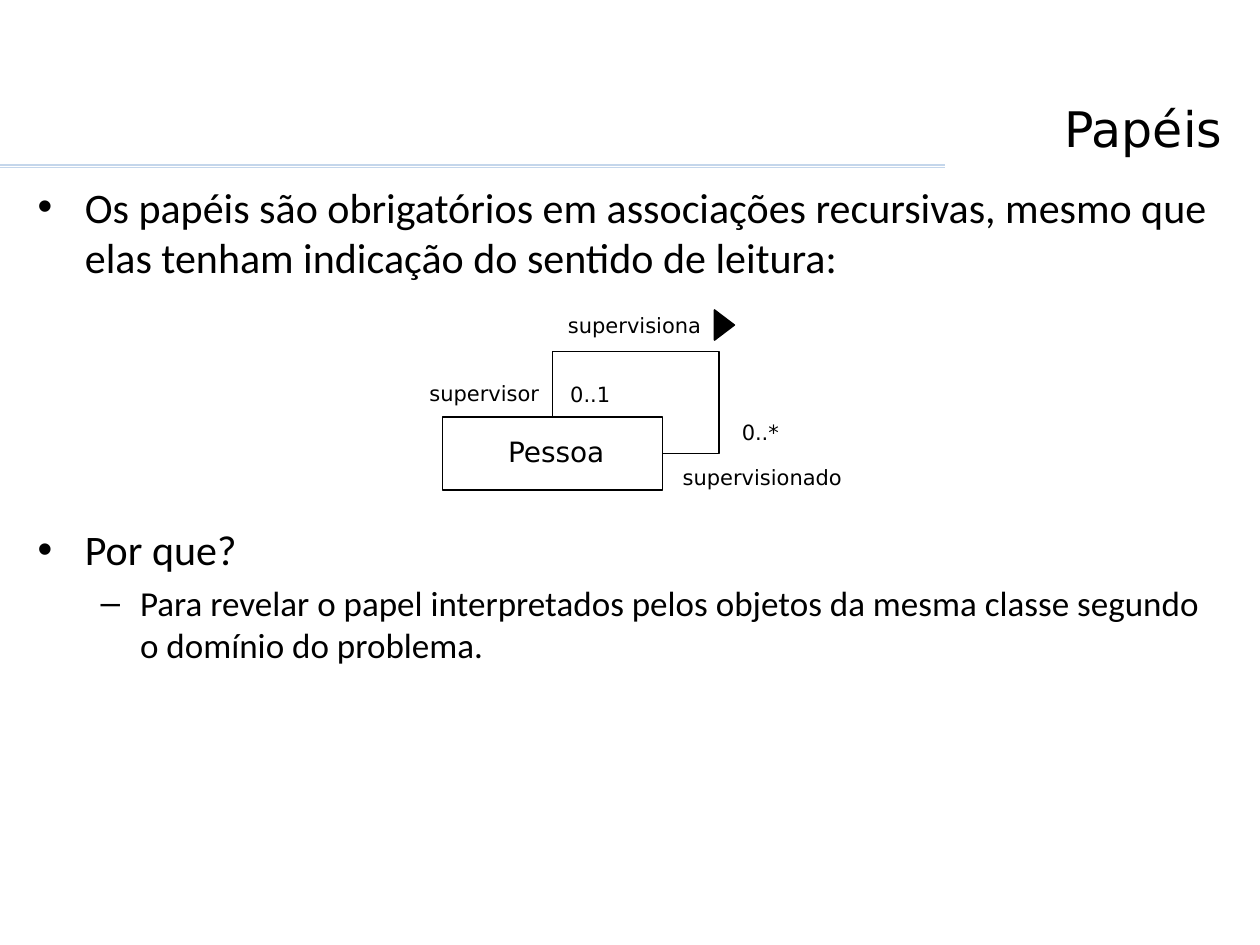
from lxml.etree import SubElement
from pptx import Presentation
from pptx.dml.color import RGBColor
from pptx.enum.shapes import MSO_CONNECTOR as Connector, MSO_SHAPE as Shape
from pptx.enum.text import MSO_ANCHOR as Anchor, PP_ALIGN as Align
from pptx.oxml.ns import qn
from pptx.util import Inches, Pt

COLORS = {"ink": "000000", "paper": "FFFFFF", "rule": "C4D6EB"}
BODY_FONT, LABEL_FONT = "Calibri", "DejaVu Sans"

presentation = Presentation()
presentation.slide_width, presentation.slide_height = Inches(10), Inches(7.5)
UNIT = presentation.slide_width / 100  # square grid: 100 columns, 75 rows


def grid(*units):
    """Turn columns and rows into lengths."""
    return [round(unit * UNIT) for unit in units]


def style_text(paragraph, size, font, align):
    paragraph.alignment = align
    for run in paragraph.runs:
        run.font.size = Pt(size)
        run.font.name = font
        run.font.color.rgb = RGBColor.from_string(COLORS["ink"])


slide = presentation.slides.add_slide(presentation.slide_layouts[5])
shapes = slide.shapes

# Title and the double rule below it
title = shapes.title
title.left, title.top, title.width, title.height = grid(1.8, 2.8, 96.2, 10.2)
title.text_frame.text = "Papéis"
title.text_frame.vertical_anchor = Anchor.BOTTOM
style_text(title.text_frame.paragraphs[0], 28, LABEL_FONT, Align.RIGHT)

connectors = []
for row in (13.3, 13.1):
    rule = shapes.add_connector(Connector.STRAIGHT, *grid(0, row, 75, row))
    connectors.append((rule, "rule"))

# Bulleted text, with room for the diagram before the second bullet
body = shapes.add_textbox(*grid(2, 13.9, 96.1, 59)).text_frame
body.word_wrap = True
bullets = [
    # text, level, bullet, size, space before, left margin, hanging indent
    ("Os papéis são obrigatórios em associações recursivas, mesmo que elas "
     "tenham indicação do sentido de leitura:", 0, "•", 24, 0, 3.75, 3.75),
    ("Por que?", 0, "•", 24, 138, 3.75, 3.75),
    ("Para revelar o papel interpretados pelos objetos da mesma classe "
     "segundo o domínio do problema.", 1, "–", 20, 4, 8.13, 3.13),
]
for index, (text, level, bullet, size, space, margin, hanging) in enumerate(bullets):
    paragraph = body.add_paragraph() if index else body.paragraphs[0]
    paragraph.text = text
    paragraph.level = level
    paragraph.space_before = Pt(space)
    properties = paragraph._p.get_or_add_pPr()
    left, indent = grid(margin, -hanging)
    properties.set("marL", str(left))
    properties.set("indent", str(indent))
    SubElement(properties, qn("a:buFont")).set("typeface", "Arial")
    SubElement(properties, qn("a:buChar")).set("char", bullet)
    style_text(paragraph, size, BODY_FONT, Align.LEFT)

# Class box and reading-direction marker
person = shapes.add_shape(Shape.RECTANGLE, *grid(35.1, 33.1, 17.5, 5.8))
marker = shapes.add_shape(Shape.PENTAGON, *grid(56.7, 24.6, 1.6, 2.4))
marker.adjustments[0] = 0.99
for shape, fill in ((person, "paper"), (marker, "ink")):
    shape.shadow.inherit = False
    shape.fill.solid()
    shape.fill.fore_color.rgb = RGBColor.from_string(COLORS[fill])
    shape.line.color.rgb = RGBColor.from_string(COLORS["ink"])
    shape.line.width = Pt(0.75)

# Recursive association from the box's top to its right side. The elbow is
# turned a quarter, so its frame has the width and height exchanged.
half_width, half_height = person.width // 2, person.height // 2
center_x = person.left + half_width * 3 // 2
center_y = person.top + half_height // 2
association = shapes.add_connector(
    Connector.ELBOW,
    center_x + half_height // 2, center_y - half_width // 2,
    center_x - half_height // 2, center_y + half_width // 2)
association._element.spPr.find(qn("a:xfrm")).set("rot", str(270 * 60000))
geometry = association._element.spPr.find(qn("a:prstGeom"))
geometry.set("prst", "bentConnector4")
guides = geometry.find(qn("a:avLst"))
if guides is None:
    guides = SubElement(geometry, qn("a:avLst"))
for name, share in (("adj1", -1.8), ("adj2", 1.51)):
    guide = SubElement(guides, qn("a:gd"))
    guide.set("name", name)
    guide.set("fmla", f"val {round(share * 100000)}")
connectors.append((association, "ink"))

for connector, color in connectors:
    connector.line.color.rgb = RGBColor.from_string(COLORS[color])
    connector.line.width = Pt(0.75)
    SubElement(connector._element.spPr, qn("a:effectLst"))

# Diagram labels
labels = [
    ("Pessoa", 39.3, 34, 9.7, 3.7, 16, Align.CENTER),
    ("supervisiona", 44.1, 24.3, 12.6, 3, 12, Align.LEFT),
    ("0..*", 57.7, 32.8, 5.3, 3, 12, Align.CENTER),
    ("0..1", 44.2, 29.8, 5.3, 3, 12, Align.CENTER),
    ("supervisor", 33.1, 29.7, 10.8, 3, 12, Align.LEFT),
    ("supervisionado", 53.2, 36.4, 14.7, 3, 12, Align.LEFT),
]
for text, column, row, width, height, size, align in labels:
    frame = shapes.add_textbox(*grid(column, row, width, height)).text_frame
    frame.word_wrap = False
    frame.text = text
    style_text(frame.paragraphs[0], size, LABEL_FONT, align)

presentation.save("out.pptx")
